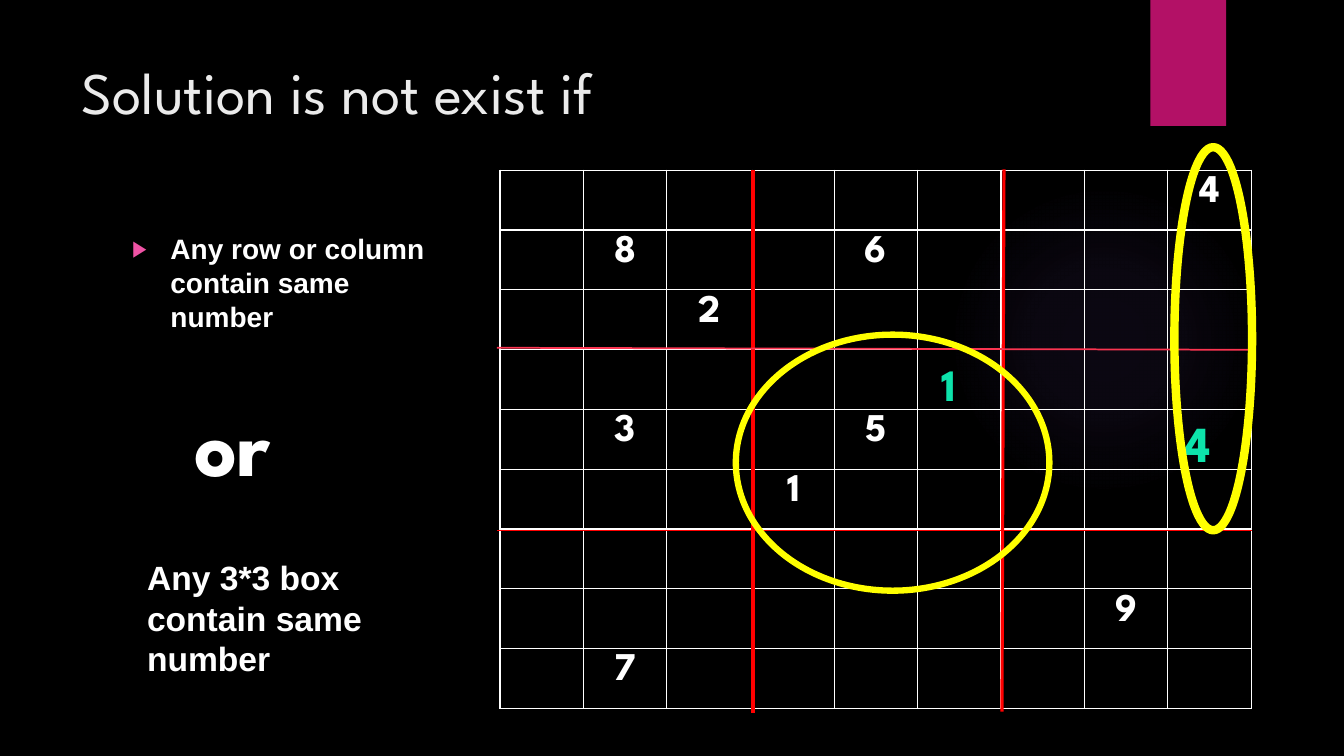
"""Build the slide on when a Sudoku puzzle has no solution."""
from pptx import Presentation
from pptx import util as u
from pptx.dml import color
from pptx.enum import shapes, text
from pptx.oxml import parse_xml
from pptx.oxml.ns import qn

NS = 'xmlns:a="http://schemas.openxmlformats.org/drawingml/2006/main"'
COLORS = {
    "back": "000000", "white": "FFFFFF", "title": "EBEBEB", "accent": "B31166",
    "bullet": "EF53A5", "red": "FF0000", "rose": "FB3551", "yellow": "FFFF00",
    "green": "0DE3AB", "glow": "9B6BF2",
}
DISPLAY, PLAIN = "League Spartan", "Arial"
GIVEN = {
    (0, 8): "4", (1, 1): "8", (1, 4): "6", (2, 2): "2", (4, 1): "3",
    (4, 4): "5", (5, 3): "1", (7, 7): "9", (8, 1): "7",
}


def rgb(name):
    return color.RGBColor.from_string(COLORS[name])


def write(para, words, size=28, font=DISPLAY, tint="white", bold=True, align=None):
    span = para.add_run()
    span.text = words
    span.font.size = u.Pt(size)
    span.font.name = font
    span.font.bold = bold
    span.font.color.rgb = rgb(tint)
    para.alignment = align


class SlideBuilder:
    """Place styled elements on one slide, with lengths in percent of its size."""

    def __init__(self, deck):
        self.deck = deck
        self.page = deck.slides.add_slide(deck.slide_layouts[1])
        self.page.background.fill.solid()
        self.page.background.fill.fore_color.rgb = rgb("back")

    def across(self, share):
        return round(self.deck.slide_width * share / 100)

    def down(self, share):
        return round(self.deck.slide_height * share / 100)

    def area(self, left, top, width, height):
        return self.across(left), self.down(top), self.across(width), self.down(height)

    def shape(self, kind, area, fill=None, line=None, weight=1):
        shape = self.page.shapes.add_shape(kind, *self.area(*area))
        shape.shadow.inherit = False
        if fill:
            shape.fill.solid()
            shape.fill.fore_color.rgb = rgb(fill)
        else:
            shape.fill.background()
        if line:
            shape.line.color.rgb = rgb(line)
            shape.line.width = u.Pt(weight)
        else:
            shape.line.fill.background()
        return shape

    def oval(self, area, weight):
        self.shape(shapes.MSO_SHAPE.OVAL, area, line="yellow", weight=weight)

    def glow(self, area, stops):
        shape = self.shape(shapes.MSO_SHAPE.OVAL, area)
        marks = "".join(
            f'<a:gs pos="{place * 1000}"><a:srgbClr val="{COLORS["glow"]}">'
            f'<a:alpha val="{alpha * 1000}"/></a:srgbClr></a:gs>'
            for place, alpha in stops)
        gradient = parse_xml(
            f'<a:gradFill {NS}><a:gsLst>{marks}</a:gsLst><a:path path="circle">'
            '<a:fillToRect l="50000" t="50000" r="50000" b="50000"/></a:path></a:gradFill>')
        properties = shape.element.spPr
        properties.replace(properties.find(qn("a:noFill")), gradient)

    def placeholder(self, index, area, words, bullet=False, **style):
        box = self.page.placeholders[index]
        box.left, box.top, box.width, box.height = self.area(*area)
        frame = box.text_frame
        frame.word_wrap = True
        frame.auto_size = text.MSO_AUTO_SIZE.NONE
        frame.vertical_anchor = text.MSO_ANCHOR.TOP
        para = frame.paragraphs[0]
        if bullet:
            self.bullet(para)
        para.space_before = u.Pt(0)
        write(para, words, align=text.PP_ALIGN.LEFT, **style)

    def bullet(self, para):
        properties = para._p.get_or_add_pPr()
        indent = u.Inches(0.38)
        properties.set("marL", str(indent))
        properties.set("indent", str(-indent))
        for part in (
                f'<a:buClr {NS}><a:srgbClr val="{COLORS["bullet"]}"/></a:buClr>',
                f'<a:buSzPct {NS} val="80000"/>',
                f'<a:buFont {NS} typeface="{PLAIN}"/>',
                f'<a:buChar {NS} char="▶"/>'):
            properties.append(parse_xml(part))

    def label(self, area, words, **style):
        box = self.page.shapes.add_textbox(*self.area(*area))
        box.text_frame.word_wrap = True
        write(box.text_frame.paragraphs[0], words, **style)

    def line(self, start, end, tint="red", weight=2.25):
        line = self.page.shapes.add_connector(
            shapes.MSO_CONNECTOR.STRAIGHT, self.across(start[0]), self.down(start[1]),
            self.across(end[0]), self.down(end[1]))
        line.line.color.rgb = rgb(tint)
        line.line.width = u.Pt(weight)
        line.element.spPr.append(parse_xml(f"<a:effectLst {NS}/>"))

    def board(self, left, top, widths, height, numbers):
        count = len(widths)
        area = self.area(left, top, sum(widths), height * count)
        table = self.page.shapes.add_table(count, count, *area).table
        table.first_row = table.horz_banding = False
        for column, width in zip(table.columns, widths):
            column.width = self.across(width)
        for row in table.rows:
            row.height = self.down(height)
        for place in range(count * count):
            spot = divmod(place, count)
            cell = table.cell(*spot)
            self.borders(cell)
            cell.fill.background()
            if spot in numbers:
                write(cell.text_frame.paragraphs[0], numbers[spot],
                      align=text.PP_ALIGN.CENTER)

    def borders(self, cell):
        properties = cell._tc.get_or_add_tcPr()
        for side in "LRTB":
            properties.append(parse_xml(
                f'<a:ln{side} {NS} w="{u.Pt(1)}"><a:solidFill>'
                f'<a:srgbClr val="{COLORS["white"]}"/></a:solidFill></a:ln{side}>'))


def main():
    deck = Presentation()
    deck.slide_width, deck.slide_height = u.Inches(13.33), u.Inches(7.5)
    page = SlideBuilder(deck)
    page.glow((70.58, 24.4, 23.1, 41.07), [(0, 7), (36, 6), (69, 0)])
    page.shape(shapes.MSO_SHAPE.RECTANGLE, (85.6, 0, 5.63, 16.67), fill="accent")
    page.placeholder(0, (5.33, 6.67, 79.43, 10.53), "Solution is not exist if",
                     size=42, tint="title", bold=False)
    page.placeholder(1, (9.08, 30, 24.15, 14.27), "Any row or column contain same number",
                     bullet=True, size=20, font=PLAIN)
    page.board(37.2, 22.53, [6.21] * 2 + [6.4, 6.05] + [6.21] * 5, 7.91, GIVEN)
    page.line((74.7, 22.4), (74.55, 94.13))
    page.line((56.03, 22.53), (56.03, 94.27))
    page.line((36.98, 70.13), (93.15, 70.13), weight=0.75)
    page.line((36.98, 46), (92.93, 46.27), tint="rose", weight=1.25)
    page.label((87.38, 53.87, 3.83, 9.47), "4", size=36, tint="green")
    page.oval((87.38, 19.47, 5.78, 50.67), 6)
    page.label((13.73, 51.2, 9.68, 14.8), "or", size=60)
    page.label((10.2, 73.07, 20.1, 17.47), "Any 3*3 box contain same number",
               size=24, font=PLAIN)
    page.label((69.3, 46.53, 4.43, 8.53), "1", size=32, tint="green")
    page.oval((54.75, 44.27, 23.33, 33.87), 4.5)
    deck.save("out.pptx")


if __name__ == "__main__":
    main()
